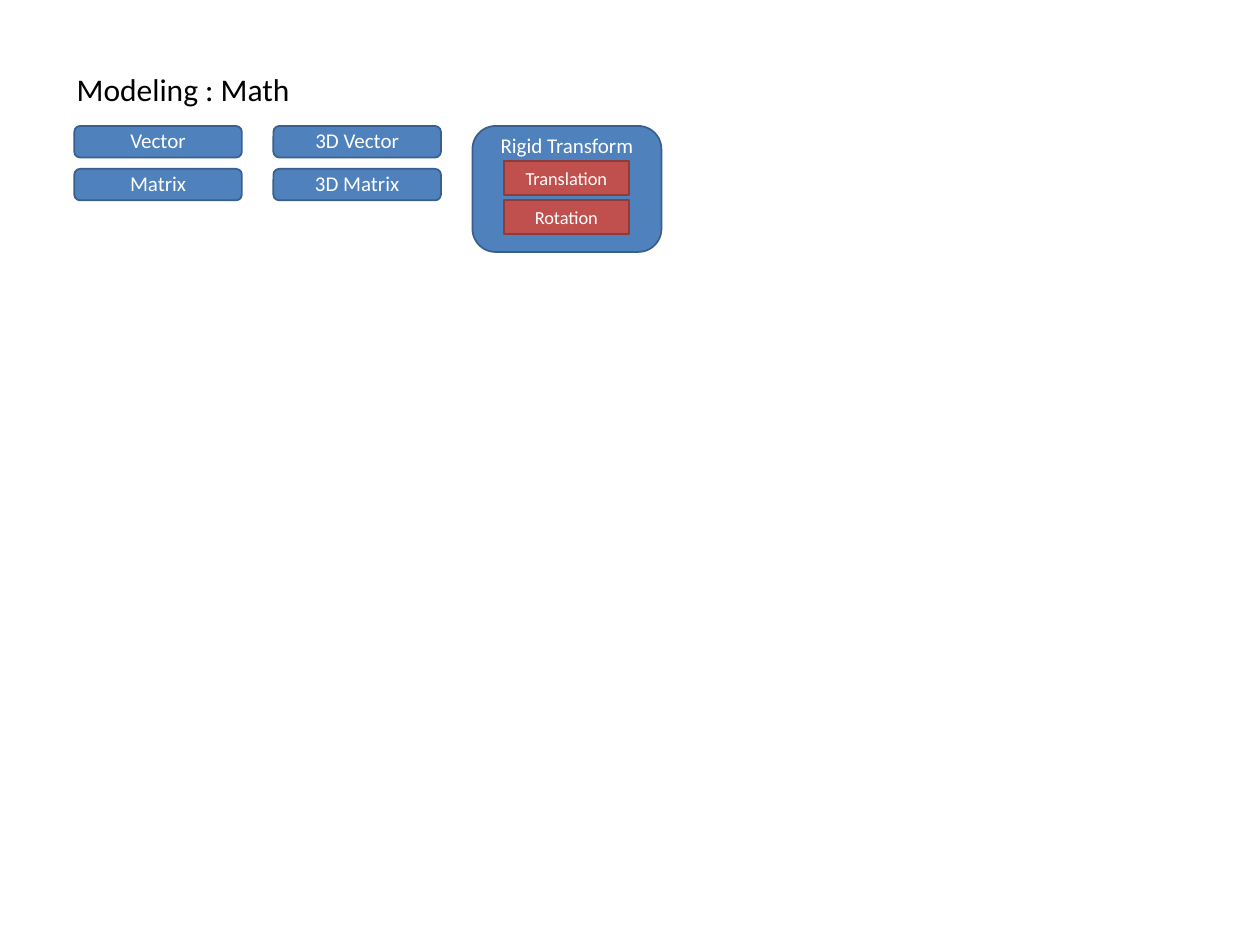
"""Build the math modeling slide: vector and matrix boxes beside a rigid transform group."""
from pptx import Presentation
from pptx.dml.color import RGBColor
from pptx.enum.shapes import MSO_SHAPE
from pptx.enum.text import MSO_ANCHOR, MSO_AUTO_SIZE, PP_ALIGN
from pptx.util import Inches, Pt

ROUND, RECT = MSO_SHAPE.ROUNDED_RECTANGLE, MSO_SHAPE.RECTANGLE
TOP, MIDDLE = MSO_ANCHOR.TOP, MSO_ANCHOR.MIDDLE
CENTER = PP_ALIGN.CENTER
FIT_SHAPE = MSO_AUTO_SIZE.SHAPE_TO_FIT_TEXT
BLUE = RGBColor(0x4F, 0x81, 0xBD)
BLUE_EDGE = RGBColor(0x3A, 0x5F, 0x8C)
RED = RGBColor(0xC0, 0x50, 0x4D)
RED_EDGE = RGBColor(0x8E, 0x3B, 0x39)
WHITE = RGBColor(0xFF, 0xFF, 0xFF)
BLACK = RGBColor(0, 0, 0)

LEFT, COL = 0.59, 1.58
ROW_TOP, ROW = 1, 0.34
PART_TOP, PART_ROW = 1.28, 0.31


def set_text(tf, text, size, color):
    p = tf.paragraphs[0]
    p.text = text
    p.font.name = "Calibri"
    p.font.size = Pt(size)
    p.font.color.rgb = color
    return p


def add_box(kind, x, y, w, h, text, size, fill, edge):
    sp = s.shapes.add_shape(kind, Inches(x), Inches(y), Inches(w), Inches(h))
    sp.shadow.inherit = False
    sp.fill.solid()
    sp.fill.fore_color.rgb = fill
    sp.line.color.rgb = edge
    sp.line.width = Pt(1)
    tf = sp.text_frame
    tf.word_wrap = True
    tf.vertical_anchor = MIDDLE
    if kind == ROUND:
        sp.adjustments[0] = 0.184
        tf.vertical_anchor = TOP
        tf.margin_top = tf.margin_bottom = 0
    set_text(tf, text, size, WHITE).alignment = CENTER


prs = Presentation()
prs.slide_width, prs.slide_height = Inches(10), Inches(7.5)
s = prs.slides.add_slide(prs.slide_layouts[6])

title = s.shapes.add_textbox(Inches(0.51), Inches(0.51), Inches(1.91), Inches(0.4))
title.text_frame.word_wrap = False
title.text_frame.auto_size = FIT_SHAPE
set_text(title.text_frame, "Modeling : Math", 18, BLACK)

for col, names in enumerate([("Vector", "Matrix"), ("3D Vector", "3D Matrix")]):
    for row, name in enumerate(names):
        add_box(ROUND, LEFT + col * COL, ROW_TOP + row * ROW, 1.33, 0.25,
                name, 12, BLUE, BLUE_EDGE)

add_box(ROUND, LEFT + 2 * COL, ROW_TOP, 1.5, 1, "Rigid Transform", 12, BLUE, BLUE_EDGE)
for row, name in enumerate(["Translation", "Rotation"]):
    add_box(RECT, LEFT + 2 * COL + 0.25, PART_TOP + row * PART_ROW, 0.99, 0.27,
            name, 10.5, RED, RED_EDGE)

prs.save("out.pptx")
